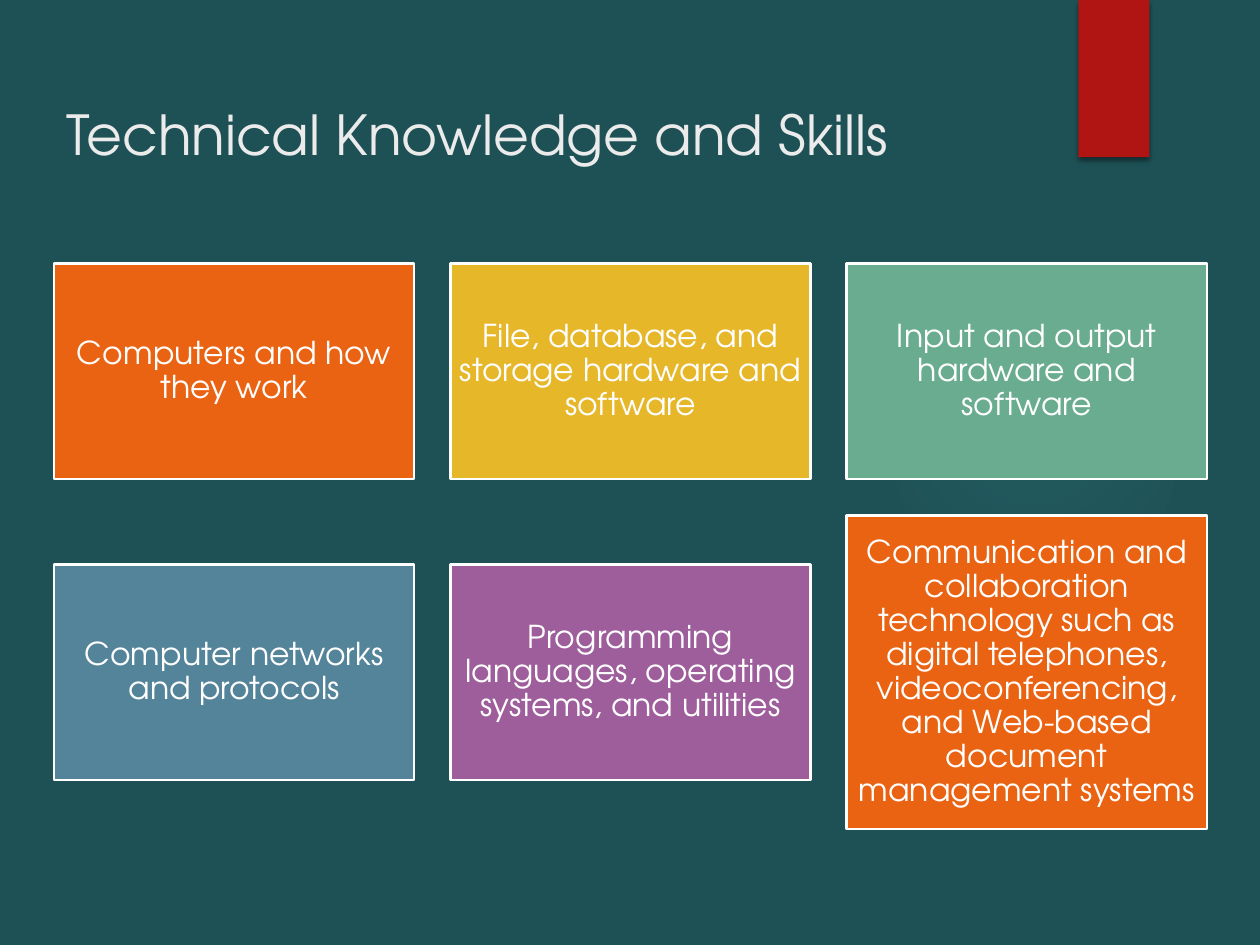
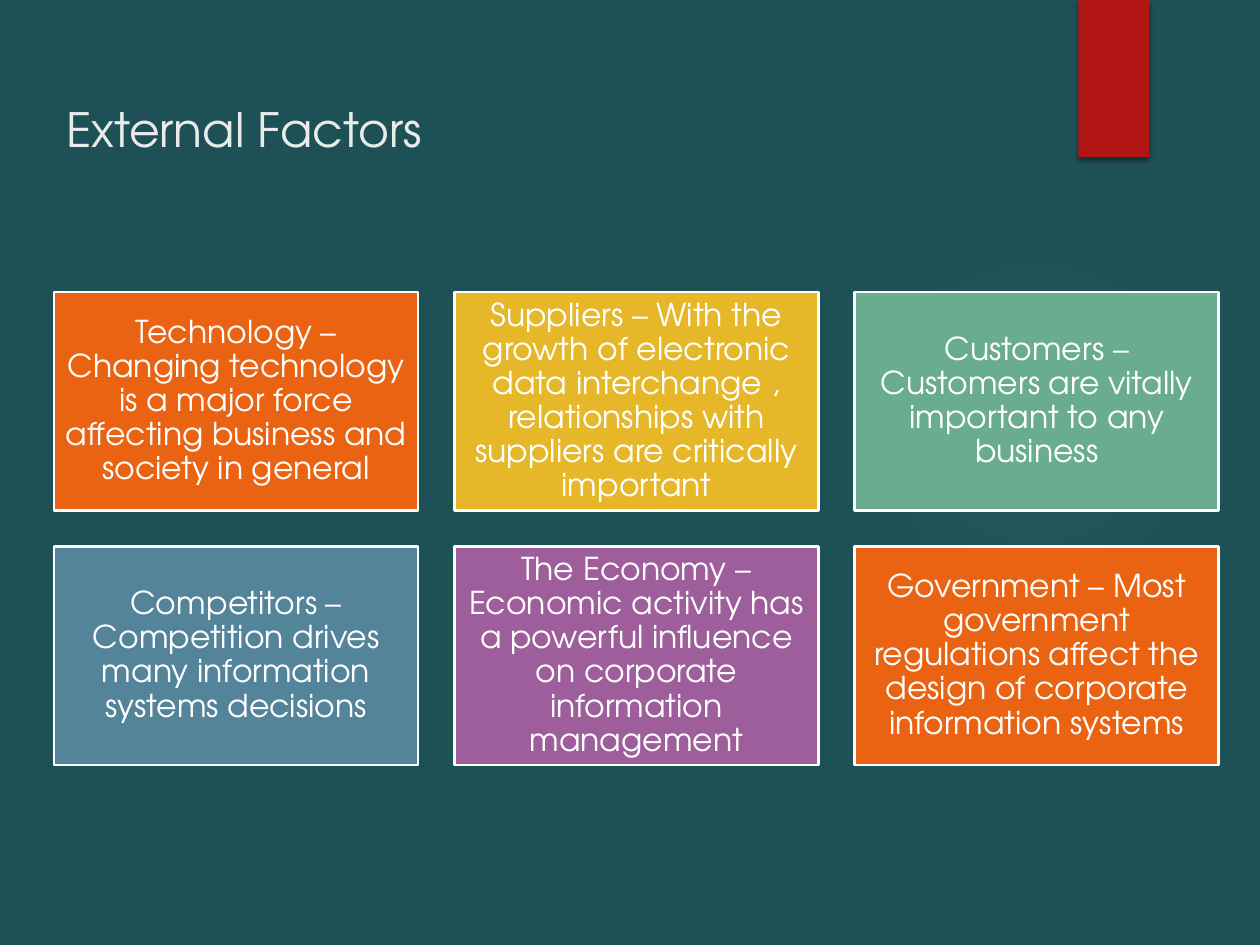
"""Build two slides of coloured cards on technical skills and external factors."""
from lxml import etree
from pptx import Presentation
from pptx.dml.color import RGBColor
from pptx.enum.shapes import MSO_SHAPE as Shape
from pptx.enum.text import MSO_ANCHOR as Anchor, MSO_AUTO_SIZE as AutoSize, PP_ALIGN as Align
from pptx.oxml import parse_xml
from pptx.oxml.ns import nsdecls, qn
from pptx.util import Cm, Pt

FONT = "TeX Gyre Adventor"
TEAL = RGBColor(0x1E, 0x51, 0x55)
GLOW = RGBColor(0x50, 0xB9, 0xC1)
RED = RGBColor(0xB0, 0x15, 0x13)
BLACK = RGBColor(0, 0, 0)
WHITE = RGBColor(0xFF, 0xFF, 0xFF)
PALE = RGBColor(0xEB, 0xEB, 0xEB)
ORANGE = RGBColor(0xEA, 0x63, 0x12)
YELLOW = RGBColor(0xE6, 0xB7, 0x29)
GREEN = RGBColor(0x6A, 0xAC, 0x90)
BLUE = RGBColor(0x54, 0x84, 0x9A)
PURPLE = RGBColor(0x9E, 0x5E, 0x9B)
CARD_COLOURS = [ORANGE, YELLOW, GREEN, BLUE, PURPLE, ORANGE]
COLUMNS = 3
MARGIN = 1.09
GAP = 0.73
INSET = Cm(0.18)

TOPICS = [
    {
        "heading": "Technical Knowledge and Skills",
        "heading_size": 31.5, "heading_height": 2.97,
        "top": 5.31, "width": 7.26, "height": 4.35, "last_height": 6.32,
        "cards": [
            "Computers and how they work",
            "File, database, and storage hardware and software",
            "Input and output hardware and software",
            "Computer networks and protocols",
            "Programming languages, operating systems, and utilities",
            "Communication and collaboration technology such as digital telephones, "
            "videoconferencing, and Web-based document management systems",
        ],
    },
    {
        "heading": "External Factors",
        "heading_size": 27, "heading_height": 1.83,
        "top": 5.89, "width": 7.34, "height": 4.4, "last_height": 4.4,
        "cards": [
            "Technology – Changing technology is a major force affecting business "
            "and society in general",
            "Suppliers – With the growth of electronic data interchange , "
            "relationships with suppliers are critically important",
            "Customers – Customers are vitally important to any business",
            "Competitors – Competition drives many information systems decisions",
            "The Economy – Economic activity has a powerful influence on corporate "
            "information management",
            "Government – Most government regulations affect the design of corporate "
            "information systems",
        ],
    },
]


def add_block(slide, kind, left, top, width, height, fill):
    block = slide.shapes.add_shape(kind, Cm(left), Cm(top), Cm(width), Cm(height))
    block.shadow.inherit = False
    block.fill.solid()
    block.fill.fore_color.rgb = fill
    block.line.fill.background()
    return block


def add_words(paragraph, words, size, colour):
    run = paragraph.add_run()
    run.text = words
    run.font.name = FONT
    run.font.size = Pt(size)
    run.font.color.rgb = colour


prs = Presentation()
prs.slide_width, prs.slide_height = Cm(25.4), Cm(19.05)
prs.slide_master.background.fill.solid()
prs.slide_master.background.fill.fore_color.rgb = TEAL

for topic in TOPICS:
    slide = prs.slides.add_slide(prs.slide_layouts[5])

    glow = add_block(slide, Shape.OVAL, 17.93, 4.65, 5.87, 7.82, GLOW)
    stops = "".join(
        f'<a:gs pos="{place * 1000}"><a:srgbClr val="{GLOW}">'
        f'<a:alpha val="{alpha * 1000}"/></a:srgbClr></a:gs>'
        for place, alpha in [(0, 7), (36, 6), (69, 0)]
    )
    solid_fill = glow.element.spPr.find(qn("a:solidFill"))
    solid_fill.getparent().replace(solid_fill, parse_xml(
        f'<a:gradFill {nsdecls("a")}><a:gsLst>{stops}</a:gsLst><a:path path="circle">'
        '<a:fillToRect l="50000" t="50000" r="50000" b="50000"/></a:path></a:gradFill>'
    ))

    ribbon = add_block(slide, Shape.RECTANGLE, 21.74, 0, 1.43, 3.17, RED)
    shadow = etree.SubElement(
        ribbon.element.spPr.find(qn("a:effectLst")), qn("a:outerShdw"),
        blurRad=str(Pt(3)), dist=str(Pt(2)), dir="5400000", rotWithShape="0",
    )
    shadow_colour = etree.SubElement(shadow, qn("a:srgbClr"), val=str(BLACK))
    etree.SubElement(shadow_colour, qn("a:alpha"), val="45000")

    heading = slide.shapes.title
    heading.left, heading.top = Cm(1.08), Cm(1.9)
    heading.width, heading.height = Cm(22.73), Cm(topic["heading_height"])
    heading.text_frame.auto_size = AutoSize.NONE
    heading.text_frame.word_wrap = True
    heading.text_frame.vertical_anchor = Anchor.TOP
    heading_line = heading.text_frame.paragraphs[0]
    heading_line.alignment = Align.LEFT
    add_words(heading_line, topic["heading"], topic["heading_size"], PALE)

    width, height = topic["width"], topic["height"]
    first_middle = topic["top"] + height / 2
    second_middle = topic["top"] + height + GAP + topic["last_height"] / 2
    row_middles = [first_middle, second_middle]
    for index, (words, colour) in enumerate(zip(topic["cards"], CARD_COLOURS)):
        row, column = divmod(index, COLUMNS)
        is_last = index == len(topic["cards"]) - 1
        card_height = topic["last_height"] if is_last else height
        card = add_block(
            slide, Shape.RECTANGLE, MARGIN + column * (width + GAP),
            row_middles[row] - card_height / 2, width, card_height, colour,
        )
        card.line.color.rgb = WHITE
        card.line.width = Pt(1.5)
        frame = card.text_frame
        frame.word_wrap = True
        frame.vertical_anchor = Anchor.MIDDLE
        frame.margin_left = frame.margin_right = INSET
        frame.margin_top = frame.margin_bottom = INSET
        card_line = frame.paragraphs[0]
        card_line.alignment = Align.CENTER
        card_line.line_spacing = 0.9
        add_words(card_line, words, 18, WHITE)

prs.save("out.pptx")
